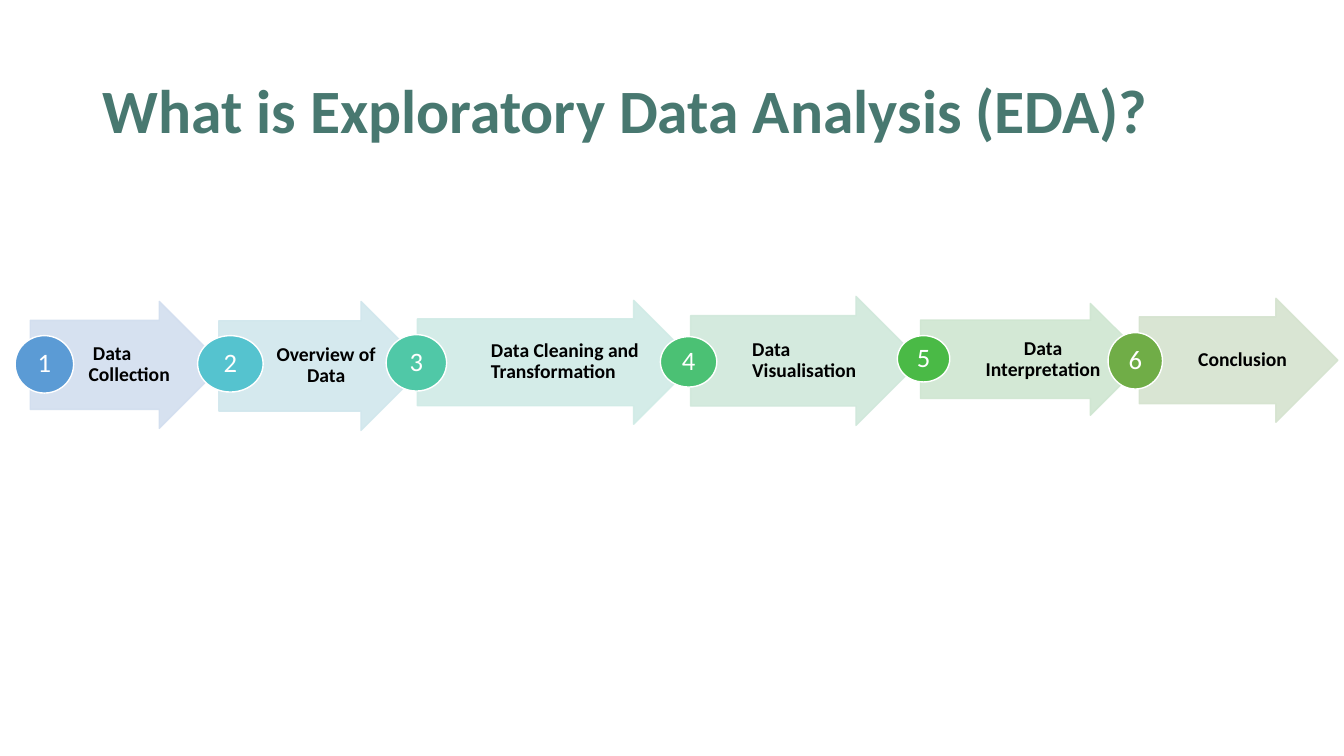
from lxml import etree
from pptx import Presentation
from pptx import util as u
from pptx.dml.color import RGBColor
from pptx.enum import shapes, text
from pptx.oxml.ns import qn

PX = 9144  # 100 px to the inch
THEME = {
    "font": "Calibri",
    "title": "487870", "label": "000000", "number": "FFFFFF", "ring": "FFFFFF",
    "title_size": 44, "label_size": 14, "number_size": 19,
    "arrow_opacity": 90,
}
LEFT, CENTER = text.PP_ALIGN.LEFT, text.PP_ALIGN.CENTER

# label, alignment, left inset, label width, arrow box, arrow colour, circle box, circle colour
STEPS = [
    (" Data\vCollection", LEFT, 10, 99, (30, 299, 191, 126), "D2DEEF", (15, 333, 58, 57), "5B9BD5"),
    ("Overview of Data", CENTER, 4, 109, (217, 299, 205, 128), "D1E7ED", (196, 333, 65, 56), "55C3CF"),
    ("Data Cleaning and Transformation", LEFT, 4, 164, (414, 298, 276, 123), "D0EBE6", (383, 332, 60, 56), "50C8A7"),
    ("Data Visualisation", LEFT, 4, 126, (685, 294, 228, 128), "D0E8DB", (655, 334, 56, 50), "4BC174"),
    ("Data Interpretation", CENTER, 4, 129, (913, 301, 224, 111), "CFE6D1", (890, 333, 52, 46), "4ABA46"),
    ("Conclusion", CENTER, 4, 105, (1130, 296, 197, 123), "D5E3CF", (1099, 330, 54, 56), "70AD47"),
]


def write(shape, wording, *, style, bold=False, align=CENTER, insets=(1, 1, 1, 1)):
    """Fill a shape with one paragraph in the theme's style; insets run left, top, right, bottom."""
    frame = shape.text_frame
    frame.word_wrap = True
    frame.vertical_anchor = text.MSO_ANCHOR.MIDDLE
    frame.margin_left, frame.margin_top, frame.margin_right, frame.margin_bottom = (
        inset * PX for inset in insets)
    para = frame.paragraphs[0]
    para.text = wording
    para.alignment = align
    para.line_spacing = 0.9
    for span in para.runs:
        span.font.name = THEME["font"]
        span.font.size = u.Pt(THEME[style + "_size"])
        span.font.bold = bold
        span.font.color.rgb = RGBColor.from_string(THEME[style])


def add_outlined(kind, bounds, fill, line):
    shape = page.shapes.add_shape(kind, *(length * PX for length in bounds))
    shape.shadow.inherit = False
    shape.fill.solid()
    shape.fill.fore_color.rgb = RGBColor.from_string(fill)
    shape.line.color.rgb = RGBColor.from_string(line)
    shape.line.width = u.Pt(1)
    return shape


deck = Presentation()
deck.slide_width, deck.slide_height = 1333 * PX, 750 * PX
page = deck.slides.add_slide(deck.slide_layouts[6])

title = page.shapes.add_textbox(92 * PX, 40 * PX, 1150 * PX, 145 * PX)
write(title, "What is Exploratory Data Analysis (EDA)?", style="title",
      bold=True, align=LEFT, insets=(10, 5, 10, 5))

for number, step in enumerate(STEPS, start=1):
    label, align, inset, label_width, arrow_box, arrow_color, circle_box, circle_color = step

    arrow = add_outlined(shapes.MSO_SHAPE.RIGHT_ARROW, arrow_box, arrow_color, arrow_color)
    arrow.adjustments[0], arrow.adjustments[1] = 0.7, 0.5
    for color in arrow.element.spPr.iter(qn("a:srgbClr")):
        etree.SubElement(color, qn("a:alpha"), val=str(THEME["arrow_opacity"] * 1000))

    # The label starts a quarter of the way along and spans the arrow's shaft.
    left, top, width, height = arrow_box
    box = page.shapes.add_textbox(
        round(left + width / 4) * PX, round(top + 0.15 * height) * PX,
        label_width * PX, round(0.7 * height) * PX)
    write(box, label, style="label", bold=True, align=align, insets=(inset, 1, 2, 1))

    circle = add_outlined(shapes.MSO_SHAPE.OVAL, circle_box, circle_color, THEME["ring"])
    write(circle, str(number), style="number")

deck.save("out.pptx")
